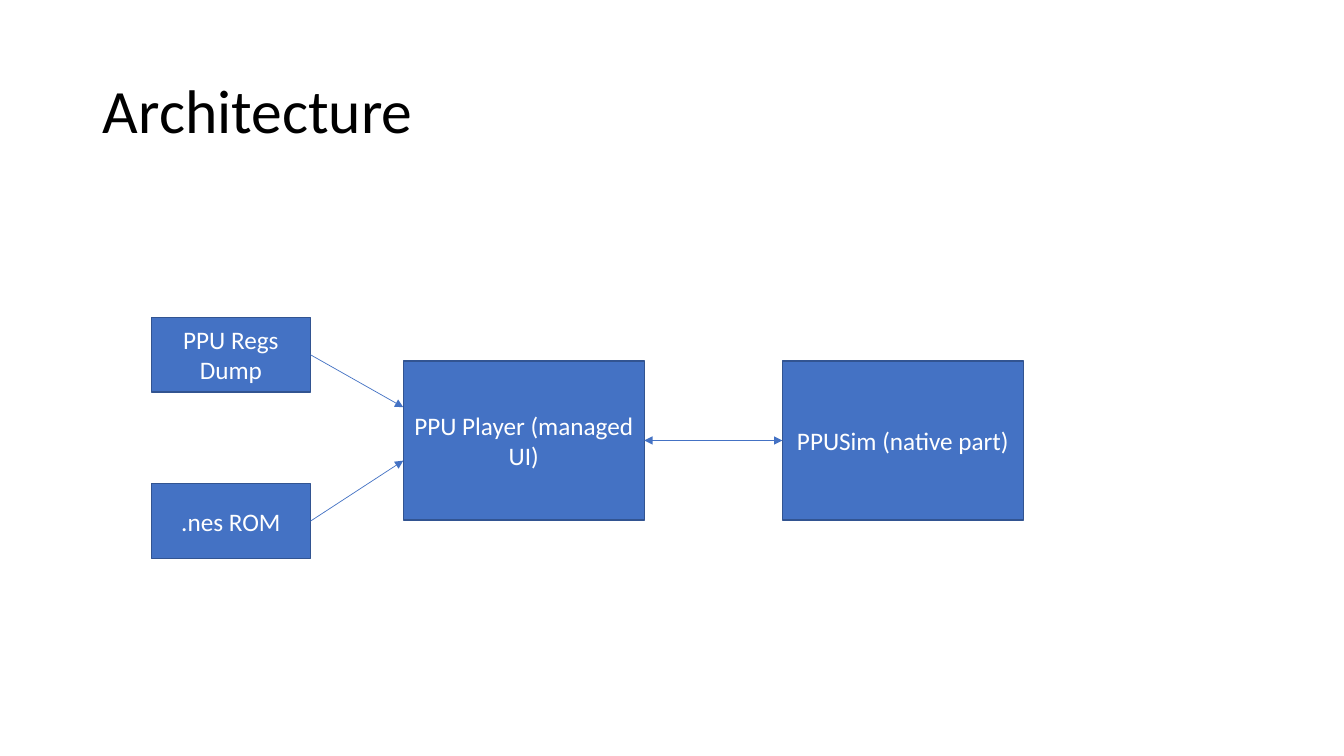
from dataclasses import dataclass

import pptx
import pptx.dml.color
import pptx.enum.shapes
import pptx.enum.text
import pptx.oxml
import pptx.oxml.ns
import pptx.util
from pptx.util import Inches


@dataclass(frozen=True)
class Theme:
    font: str = "Calibri"
    title_size: int = 44
    box_size: int = 18
    title_color: str = "000000"
    box_text: str = "FFFFFF"
    fill: str = "4472C4"
    outline: str = "325491"
    outline_width: float = 1
    arrow_width: float = 0.5


THEME = Theme()
INPUT_SIZE = (1.58, 0.74)
MODULE_SIZE = (2.39, 1.58)


def rgb(value):
    return pptx.dml.color.RGBColor.from_string(value)


def set_text(shape, text, size, color, alignment):
    frame = shape.text_frame
    frame.text = text
    frame.word_wrap = True
    frame.vertical_anchor = pptx.enum.text.MSO_ANCHOR.MIDDLE
    para = frame.paragraphs[0]
    para.alignment = alignment
    span = para.runs[0]
    span.font.name = THEME.font
    span.font.size = pptx.util.Pt(size)
    span.font.color.rgb = rgb(color)
    return para


def set_title(page, text):
    title = page.shapes.title
    title.left, title.top = Inches(0.92), Inches(0.4)
    title.width, title.height = Inches(11.5), Inches(1.45)
    para = set_text(title, text, THEME.title_size, THEME.title_color,
                    pptx.enum.text.PP_ALIGN.LEFT)
    para.line_spacing = 0.9


def add_box(page, text, left, top, size):
    width, height = size
    box = page.shapes.add_shape(
        pptx.enum.shapes.MSO_SHAPE.RECTANGLE,
        Inches(left), Inches(top), Inches(width), Inches(height))
    box.shadow.inherit = False
    box.fill.solid()
    box.fill.fore_color.rgb = rgb(THEME.fill)
    box.line.color.rgb = rgb(THEME.outline)
    box.line.width = pptx.util.Pt(THEME.outline_width)
    set_text(box, text, THEME.box_size, THEME.box_text,
             pptx.enum.text.PP_ALIGN.CENTER)
    return box


def add_arrow(page, start, end, ends=("tailEnd",)):
    arrow = page.shapes.add_connector(
        pptx.enum.shapes.MSO_CONNECTOR.STRAIGHT,
        *(Inches(value) for value in start + end))
    arrow.line.color.rgb = rgb(THEME.fill)
    arrow.line.width = pptx.util.Pt(THEME.arrow_width)
    # Arrowheads and an empty effect list
    line = arrow.line._get_or_add_ln()
    for tag in ends:
        head = pptx.oxml.parse_xml(
            f'<a:{tag} {pptx.oxml.ns.nsdecls("a")} type="triangle"/>')
        line.append(head)
    arrow._element.spPr.append(pptx.oxml.parse_xml(
        f'<a:effectLst {pptx.oxml.ns.nsdecls("a")}/>'))
    return arrow


def main():
    deck = pptx.Presentation()
    deck.slide_width, deck.slide_height = Inches(13.33), Inches(7.5)
    page = deck.slides.add_slide(deck.slide_layouts[5])
    set_title(page, "Architecture")

    # Modules and their inputs
    player = add_box(page, "PPU Player (managed UI)", 4, 3.58, MODULE_SIZE)
    simulator = add_box(page, "PPUSim (native part)", 7.76, 3.58, MODULE_SIZE)
    registers = add_box(page, "PPU Regs Dump", 1.5, 3.15, INPUT_SIZE)
    cartridge = add_box(page, ".nes ROM", 1.5, 4.8, INPUT_SIZE)

    # Inputs feed the player
    for source, start_y, end_y in ((registers, 3.52, 4.04),
                                   (cartridge, 5.17, 4.57)):
        arrow = add_arrow(page, (3.08, start_y), (4, end_y))
        arrow.begin_connect(source, 3)

    # Player and simulator exchange data
    exchange = add_arrow(page, (7.76, 4.37), (6.39, 4.37),
                         ("headEnd", "tailEnd"))
    exchange.begin_connect(simulator, 1)
    exchange.end_connect(player, 3)

    deck.save("out.pptx")


if __name__ == "__main__":
    main()
